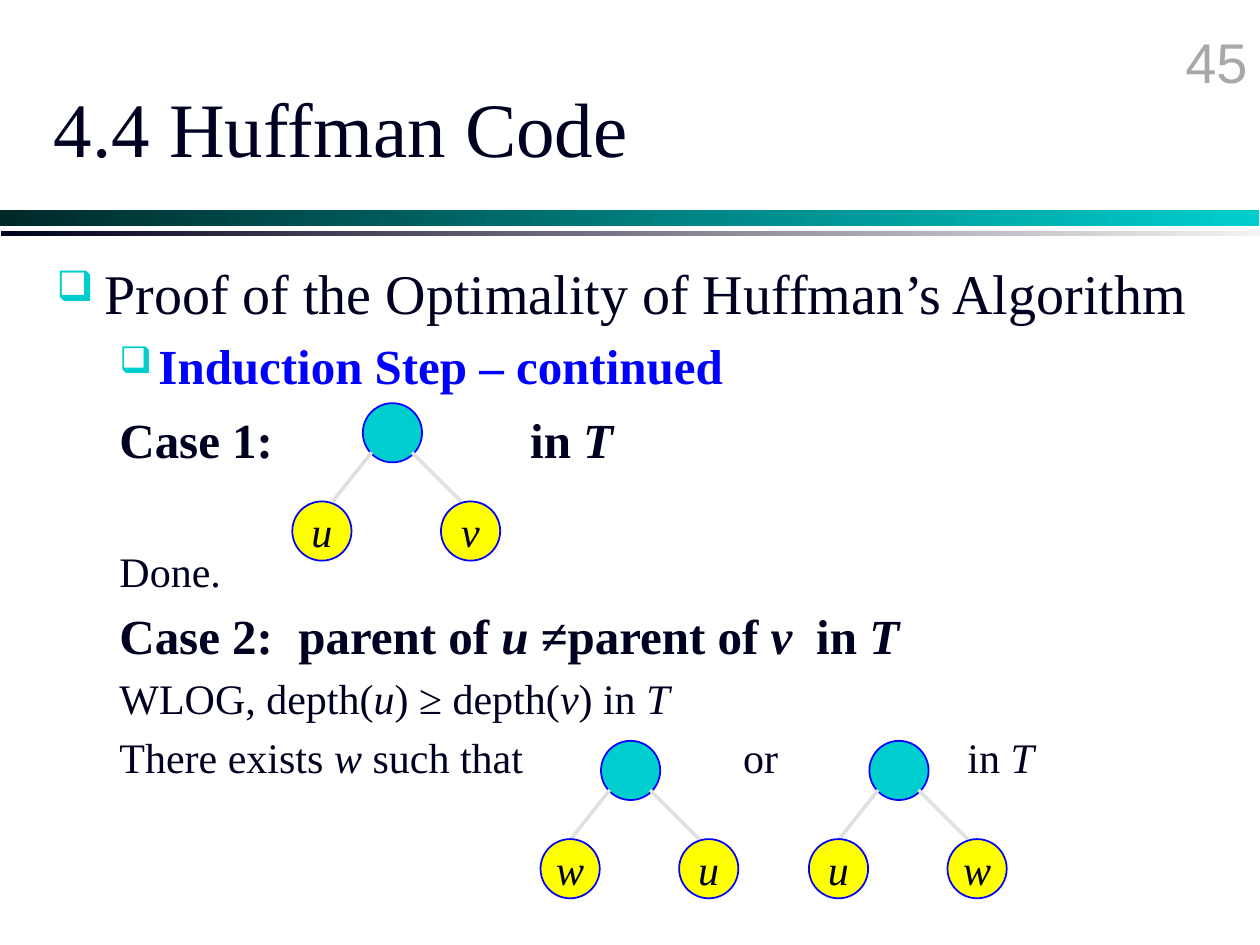
from dataclasses import dataclass

from lxml.etree import SubElement
from pptx import Presentation
from pptx.dml.color import RGBColor
from pptx.enum.shapes import MSO_CONNECTOR, MSO_SHAPE
from pptx.enum.text import MSO_ANCHOR, PP_ALIGN
from pptx.oxml.ns import qn
from pptx.util import Inches, Pt


@dataclass(frozen=True)
class Theme:
    """Colours, fonts and type sizes of the deck."""
    ink: str = "000020"
    accent: str = "00CECE"
    accent_dark: str = "002929"
    pale: str = "F3F3F3"
    blue: str = "0000FF"
    leaf: str = "FFFF00"
    branch: str = "E0E0E0"
    number: str = "A8A8A8"
    serif: str = "Times New Roman"
    sans: str = "Arial"
    title: int = 44
    large: int = 32
    medium: int = 28
    small: int = 24


THEME = Theme()
NODE = 0.47


def rgb(value):
    """Return the colour for a hex value."""
    return RGBColor.from_string(value)


def write(para, text, size=THEME.small, color=THEME.ink, font=THEME.serif,
          bold=False, align=PP_ALIGN.LEFT):
    """Write text into a paragraph; parts between underscores are italic."""
    para.alignment = align
    for index, part in enumerate(text.split("_")):
        if part:
            span = para.add_run()
            span.text = part
            span.font.name = font
            span.font.size = Pt(size)
            span.font.bold = bold
            span.font.italic = index % 2 == 1
            span.font.color.rgb = rgb(color)


def add_frame(page, left, top, width, height, anchor=MSO_ANCHOR.TOP):
    """Add a wrapping text box and return its text frame."""
    box = page.shapes.add_textbox(Inches(left), Inches(top), Inches(width), Inches(height))
    frame = box.text_frame
    frame.word_wrap = True
    frame.vertical_anchor = anchor
    return frame


def set_bullet(para, margin, indent):
    """Give a paragraph a hanging square bullet."""
    properties = para._p.get_or_add_pPr()
    properties.set("marL", str(Inches(margin)))
    properties.set("indent", str(Inches(indent)))
    color = SubElement(properties, qn("a:buClr"))
    SubElement(color, qn("a:srgbClr"), val=THEME.accent)
    SubElement(properties, qn("a:buSzPct"), val="75000")
    SubElement(properties, qn("a:buChar"), char="❑")


def set_tabs(para, tabs):
    """Give a paragraph left tab stops."""
    if tabs:
        stops = SubElement(para._p.get_or_add_pPr(), qn("a:tabLst"))
        for tab in tabs:
            SubElement(stops, qn("a:tab"), pos=str(Inches(tab)), algn="l")


def add_band(page, left, top, width, height, start, end):
    """Draw a horizontal band that fades from one colour to another."""
    band = page.shapes.add_shape(MSO_SHAPE.RECTANGLE, Inches(left), Inches(top),
                                 Inches(width), Inches(height))
    band.shadow.inherit = False
    band.line.fill.background()
    band.fill.gradient()
    band.fill.gradient_angle = 0
    for stop, color in zip(band.fill.gradient_stops, (start, end)):
        stop.color.rgb = rgb(color)


def add_header(page, left, top):
    """Place the page number, the title and the two bands below them."""
    add_band(page, left, top + 1.67, 9.99, 0.12, THEME.accent_dark, THEME.accent)
    add_band(page, left + 0.01, top + 1.83, 9.99, 0.04, THEME.ink, THEME.pale)
    number = add_frame(page, left + 7.92, top + 0.17, 2.08, 0.5)
    write(number.paragraphs[0], "45", size=THEME.large, color=THEME.number,
          font=THEME.sans, align=PP_ALIGN.RIGHT)
    title = add_frame(page, left + 0.33, top + 0.38, 8.5, 1.25, anchor=MSO_ANCHOR.MIDDLE)
    write(title.paragraphs[0], "4.4 Huffman Code", size=THEME.title)


def add_outline(page, left, top, width, height):
    """Write the two bulleted lines above the cases."""
    frame = add_frame(page, left, top, width, height)
    heading = frame.paragraphs[0]
    set_bullet(heading, 0.38, -0.38)
    write(heading, "Proof of the Optimality of Huffman’s Algorithm", size=THEME.large)

    step = frame.add_paragraph()
    step.level = 1
    set_bullet(step, 0.81, -0.31)
    step.space_before = Pt(5.6)
    write(step, "Induction Step – continued", size=THEME.medium, color=THEME.blue, bold=True)


def add_cases(page, left, top, width, height):
    """Write the two cases, leaving room for the trees by tab stops."""
    frame = add_frame(page, left, top, width, height)
    case = {"size": THEME.medium, "bold": True}
    lines = (
        ("Case 1:\tin _T_", (3.26,), 0, case),
        ("Done.", (), 44, {}),
        ("Case 2:\tparent of _u _≠parent of _v_\tin _T_", (1.42, 5.53), 5.6, case),
        ("WLOG, depth(_u_) ≥ depth(_v_) in _T_", (), 4.8, {}),
        ("There exists _w_ such that\tor\tin _T_", (4.95, 6.73), 4.8, {}),
    )
    for index, (text, tabs, gap, style) in enumerate(lines):
        para = frame.add_paragraph() if index else frame.paragraphs[0]
        set_tabs(para, tabs)
        para.space_before = Pt(gap)
        write(para, text, **style)


def add_node(page, left, top, color, label=""):
    """Draw one round tree node with an optional label."""
    node = page.shapes.add_shape(MSO_SHAPE.OVAL, Inches(left), Inches(top),
                                 Inches(NODE), Inches(NODE))
    node.shadow.inherit = False
    node.fill.solid()
    node.fill.fore_color.rgb = rgb(color)
    node.line.color.rgb = rgb(THEME.blue)
    node.line.width = Pt(1)
    if label:
        frame = node.text_frame
        frame.word_wrap = False
        frame.vertical_anchor = MSO_ANCHOR.MIDDLE
        write(frame.paragraphs[0], f"_{label}_", align=PP_ALIGN.CENTER)


def add_branch(page, start_x, start_y, end_x, end_y):
    """Draw a line from a parent node to a leaf."""
    branch = page.shapes.add_connector(MSO_CONNECTOR.STRAIGHT, Inches(start_x),
                                       Inches(start_y), Inches(end_x), Inches(end_y))
    branch.line.color.rgb = rgb(THEME.branch)
    branch.line.width = Pt(2)
    SubElement(branch._element.spPr, qn("a:effectLst"))


def add_tree(page, left, top, labels, root_offset=0.48):
    """Draw a parent node with two labelled leaves."""
    root = left + root_offset
    leaf_top = top + 0.78
    add_node(page, root, top, THEME.accent)
    for start, end in ((0.07, -0.24), (0.39, 0.78)):
        add_branch(page, root + start, top + 0.39, root + end, leaf_top)
    for leaf_left, label in zip((left, root + 0.62), labels):
        add_node(page, leaf_left, leaf_top, THEME.leaf, label)


def main():
    """Build the slide and save the deck."""
    deck = Presentation()
    deck.slide_width, deck.slide_height = Inches(10), Inches(7.5)
    page = deck.slides.add_slide(deck.slide_layouts[6])
    add_header(page, 0, 0)
    add_outline(page, 0.35, 2, 9.37, 1.2)
    add_cases(page, 0.85, 3.2, 8.87, 3.47)
    add_tree(page, 2.32, 3.2, "uv", root_offset=0.56)
    add_tree(page, 4.29, 5.88, "wu")
    add_tree(page, 6.42, 5.88, "uw")
    deck.save("out.pptx")


if __name__ == "__main__":
    main()
